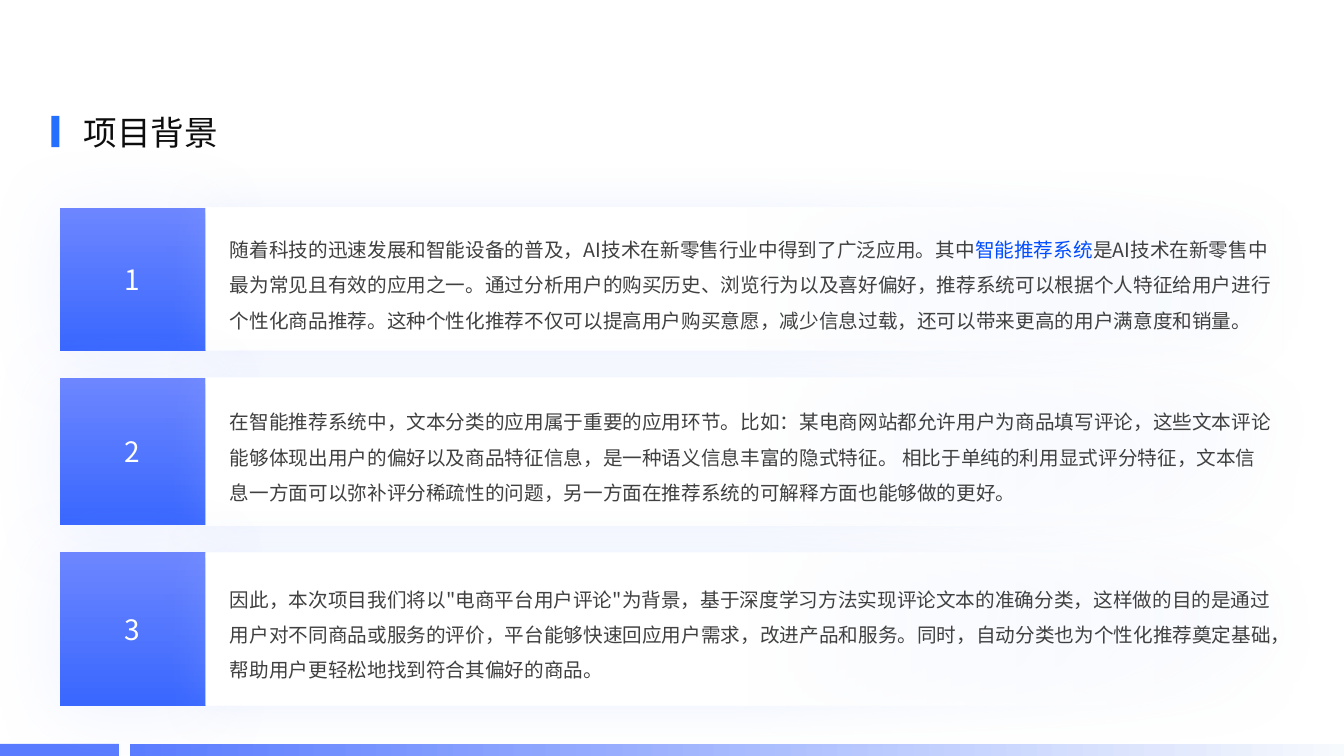
from pptx import Presentation
from pptx.dml.color import RGBColor
from pptx.enum.shapes import MSO_SHAPE
from pptx.enum.text import MSO_ANCHOR, PP_ALIGN
from pptx.oxml import parse_xml
from pptx.oxml.ns import nsdecls, qn
from pptx.util import Inches, Pt

RECT = MSO_SHAPE.RECTANGLE
MIDDLE = MSO_ANCHOR.MIDDLE
LEFT, CENTER = PP_ALIGN.LEFT, PP_ALIGN.CENTER

FONT = "Noto Sans CJK JP"
TITLE = "项目背景"
TEXT_COLOR, HIGHLIGHT = "404040", "004CFF"

# (row height, runs as (text, colour))
ROWS = [
    (1.42, [
        ("随着科技的迅速发展和智能设备的普及，AI技术在新零售行业中得到了广泛应用。其中", TEXT_COLOR),
        ("智能推荐系统", HIGHLIGHT),
        ("是AI技术在新零售中最为常见且有效的应用之一。通过分析用户的购买历史、浏览行为以及"
         "喜好偏好，推荐系统可以根据个人特征给用户进行个性化商品推荐。这种个性化推荐不仅可以"
         "提高用户购买意愿，减少信息过载，还可以带来更高的用户满意度和销量。", TEXT_COLOR),
    ]),
    (1.46, [
        ("在智能推荐系统中，文本分类的应用属于重要的应用环节。比如：某电商网站都允许用户为商品"
         "填写评论，这些文本评论能够体现出用户的偏好以及商品特征信息，是一种语义信息丰富的隐式"
         "特征。 相比于单纯的利用显式评分特征，文本信息一方面可以弥补评分稀疏性的问题，另一方面"
         "在推荐系统的可解释方面也能够做的更好。", TEXT_COLOR),
    ]),
    (1.52, [
        ('因此，本次项目我们将以"电商平台用户评论"为背景，基于深度学习方法实现评论文本的准确'
         "分类，这样做的目的是通过用户对不同商品或服务的评价，平台能够快速回应用户需求，改进产品"
         "和服务。同时，自动分类也为个性化推荐奠定基础，帮助用户更轻松地找到符合其偏好的商品。",
         TEXT_COLOR),
    ]),
]
ROWS_TOP, ROW_GAP = 2.06, 0.27
NUMBER_LEFT, NUMBER_WIDTH, BODY_WIDTH = 0.59, 1.45, 10.69

# gradient stops: (position %, colour, opacity %)
NUMBER_STOPS = [(0, "6D86FF", 100), (100, "3967FE", 100)]
BODY_STOPS = [(0, "FFFFFF", 100), (50, "FFFFFF", 100), (100, "FFFFFF", 0)]
FOOTER_STOPS = [(0, "F7FAFD", 100), (100, "597BFF", 100)]
# shadows: colour, opacity %, blur pt, distance pt
NUMBER_SHADOW = ("B0C2FF", 20, 50, 3)
BODY_SHADOW = ("A6C1FE", 22, 32, 0)


def rgb(value):
    return RGBColor.from_string(value)


def add_rect(shapes, left, top, width, height, color=None):
    sp = shapes.add_shape(RECT, Inches(left), Inches(top), Inches(width), Inches(height))
    sp.shadow.inherit = False
    sp.line.fill.background()
    if color:
        sp.fill.solid()
        sp.fill.fore_color.rgb = rgb(color)
    return sp


def set_gradient(sp, stops, angle):
    """Fill with a linear gradient; angle is in degrees, clockwise."""
    gs = "".join(
        f'<a:gs pos="{pos * 1000}"><a:srgbClr val="{color}">'
        f'<a:alpha val="{alpha * 1000}"/></a:srgbClr></a:gs>'
        for pos, color, alpha in stops)
    fill = parse_xml(f'<a:gradFill {nsdecls("a")} rotWithShape="1"><a:gsLst>{gs}</a:gsLst>'
                     f'<a:lin ang="{angle * 60000}" scaled="0"/></a:gradFill>')
    sp._element.spPr.find(qn("a:prstGeom")).addnext(fill)


def set_shadow(sp, color, alpha, blur, distance):
    """Add a soft shadow that falls downwards."""
    sp._element.spPr.find(qn("a:effectLst")).append(parse_xml(
        f'<a:outerShdw {nsdecls("a")} blurRad="{Pt(blur)}" dist="{Pt(distance)}" '
        f'dir="5400000" algn="t" rotWithShape="0"><a:srgbClr val="{color}">'
        f'<a:alpha val="{alpha * 1000}"/></a:srgbClr></a:outerShdw>'))


def set_text(sp, runs, size, align=LEFT, spacing=None):
    tf = sp.text_frame
    tf.word_wrap = True
    p = tf.paragraphs[0]
    p.alignment = align
    if spacing:
        p.line_spacing = spacing
    p.font.size = Pt(size)
    p.font.name = FONT
    latin = p._p.pPr.find(qn("a:defRPr")).find(qn("a:latin"))
    latin.addnext(parse_xml(f'<a:ea {nsdecls("a")} typeface="{FONT}"/>'))
    for text, color in runs:
        r = p.add_run()
        r.text = text
        r.font.color.rgb = rgb(color)
    return tf


def add_row(shapes, number, top, height, runs):
    group = shapes.add_group_shape().shapes
    sp = add_rect(group, NUMBER_LEFT, top, NUMBER_WIDTH, height)
    set_gradient(sp, NUMBER_STOPS, 90)
    set_shadow(sp, *NUMBER_SHADOW)
    set_text(sp, [(str(number), "FFFFFF")], 20, CENTER).vertical_anchor = MIDDLE

    sp = add_rect(group, NUMBER_LEFT + NUMBER_WIDTH, top, BODY_WIDTH, height)
    set_gradient(sp, BODY_STOPS, 0)
    set_shadow(sp, *BODY_SHADOW)
    tf = set_text(sp, runs, 14, spacing=1.5)
    tf.vertical_anchor = MIDDLE
    tf.margin_left = Inches(0.24)


def main():
    prs = Presentation()
    prs.slide_width, prs.slide_height = Inches(13.33), Inches(7.5)
    shapes = prs.slides.add_slide(prs.slide_layouts[6]).shapes

    add_rect(shapes, 0, 7.38, 1.18, 0.12, "597BFF")
    set_gradient(add_rect(shapes, 1.29, 7.38, 12.04, 0.12), FOOTER_STOPS, 180)

    title = shapes.add_textbox(Inches(0.73), Inches(1.06), Inches(6.67), Inches(0.5))
    set_text(title, [(TITLE, "0D0D0D")], 24)
    add_rect(shapes, 0.51, 1.15, 0.08, 0.31, "256FFE")

    top = ROWS_TOP
    for number, (height, runs) in enumerate(ROWS, 1):
        add_row(shapes, number, top, height, runs)
        top += height + ROW_GAP

    prs.save("out.pptx")


if __name__ == "__main__":
    main()
